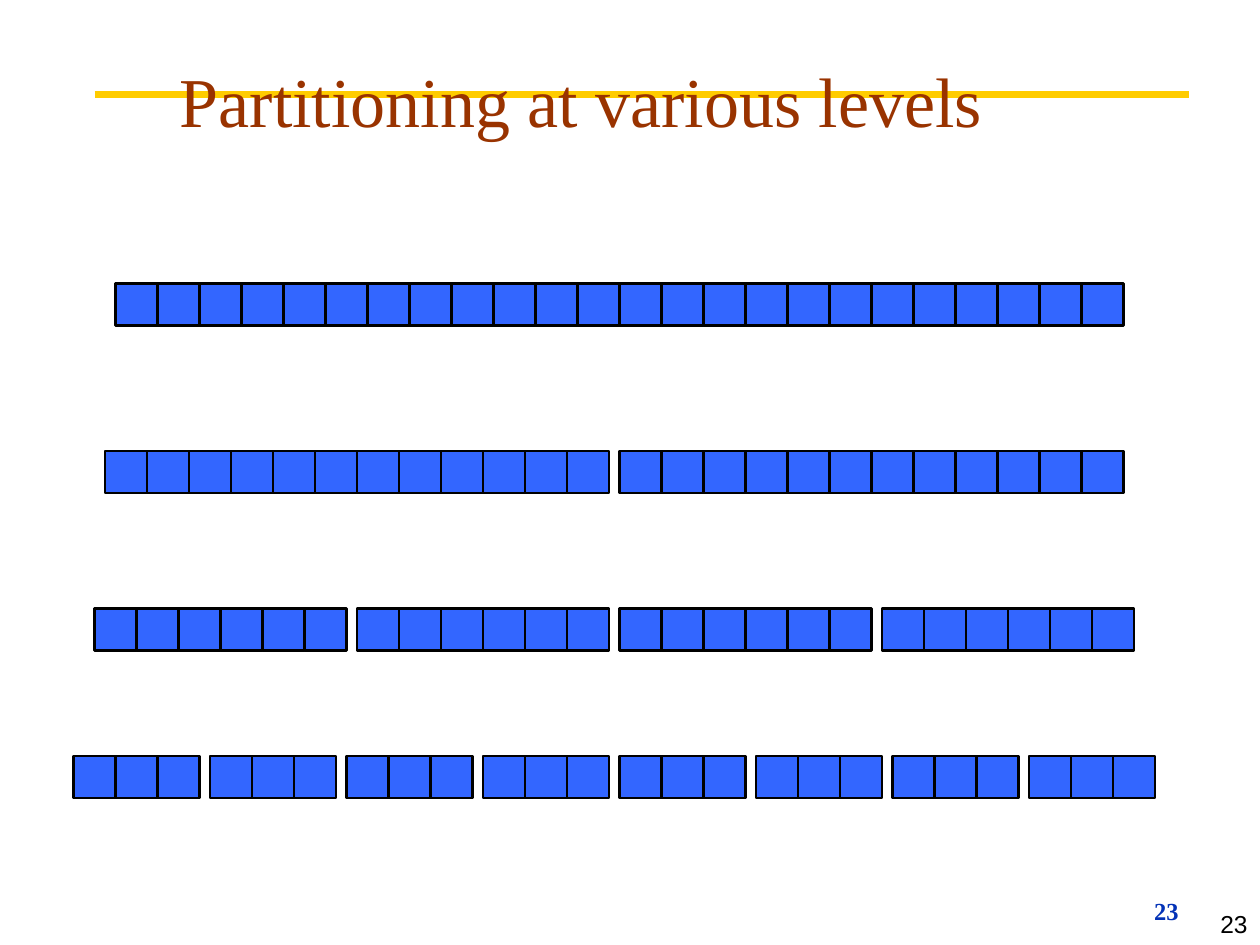
import pptx
import pptx.dml.color
import pptx.enum.shapes
import pptx.enum.text
import pptx.oxml.ns
import pptx.util
from lxml import etree

Inches = pptx.util.Inches
Pt = pptx.util.Pt
Anchor = pptx.enum.text.MSO_ANCHOR
Align = pptx.enum.text.PP_ALIGN

CELL_COUNT = 24
CELL_SIZE = 1 / 3
PART_GAP = 1 / 12
MIDDLE = 4 + 11 / 12
LEVELS = [(2.25, 1), (3.58, 2), (4.83, 4), (6, 8)]


def color(hex_value):
    return pptx.dml.color.RGBColor.from_string(hex_value)


def add_label(slide, text, box, margins, anchor, align, font_format, ink):
    label = slide.shapes.add_textbox(*map(Inches, box))
    side, edge = map(Inches, margins)
    frame_format = {
        "word_wrap": True,
        "vertical_anchor": anchor,
        "margin_left": side,
        "margin_right": side,
        "margin_top": edge,
        "margin_bottom": edge,
    }
    for name, value in frame_format.items():
        setattr(label.text_frame, name, value)
    paragraph = label.text_frame.paragraphs[0]
    paragraph.alignment = align
    run = paragraph.add_run()
    run.text = text
    for name, value in font_format.items():
        setattr(run.font, name, value)
    run.font.color.rgb = color(ink)


def add_title_rule(slide):
    rule = slide.shapes.add_connector(
        pptx.enum.shapes.MSO_CONNECTOR.STRAIGHT,
        Inches(0.75), Inches(0.75), Inches(9.44), Inches(0.75),
    )
    rule.line.color.rgb = color("FFCC00")
    rule.line.width = Pt(4.5)
    etree.SubElement(rule._element.spPr, pptx.oxml.ns.qn("a:effectLst"))


def add_cell(level, left, top):
    cell = level.shapes.add_shape(
        pptx.enum.shapes.MSO_SHAPE.RECTANGLE,
        Inches(left), Inches(top), Inches(CELL_SIZE), Inches(CELL_SIZE),
    )
    cell.shadow.inherit = False
    cell.fill.solid()
    cell.fill.fore_color.rgb = color("3366FF")
    cell.line.color.rgb = color("000000")
    cell.line.width = Pt(1.25)


def add_level(slide, top, part_count):
    level = slide.shapes.add_group_shape()
    cells_per_part = CELL_COUNT // part_count
    left = MIDDLE - CELL_COUNT / 2 * CELL_SIZE - part_count // 2 * PART_GAP
    for index in range(CELL_COUNT):
        gaps_before = index // cells_per_part
        add_cell(level, left + index * CELL_SIZE + gaps_before * PART_GAP, top)


def main():
    deck = pptx.Presentation()
    deck.slide_width = Inches(10)
    deck.slide_height = Inches(7.5)
    slide = deck.slides.add_slide(deck.slide_layouts[6])

    add_label(slide, "23", (9.09, 7.08, 1.02, 0.29), (0.07, 0.03), Anchor.TOP, Align.LEFT,
              {"name": "Times New Roman", "size": Pt(14), "bold": True}, "0332B7")
    add_title_rule(slide)
    add_label(slide, "23", (7.92, 7, 2.08, 0.5), (0.1, 0.05), Anchor.BOTTOM, Align.RIGHT,
              {"name": "Arial", "size": Pt(14)}, "000000")
    add_label(slide, "Partitioning at various levels", (1.33, 0.25, 8.52, 0.92), (0.1, 0.05),
              Anchor.BOTTOM, Align.LEFT,
              {"name": "Times New Roman", "size": Pt(40)}, "993300")
    for top, part_count in LEVELS:
        add_level(slide, top, part_count)

    deck.save("out.pptx")


if __name__ == "__main__":
    main()
